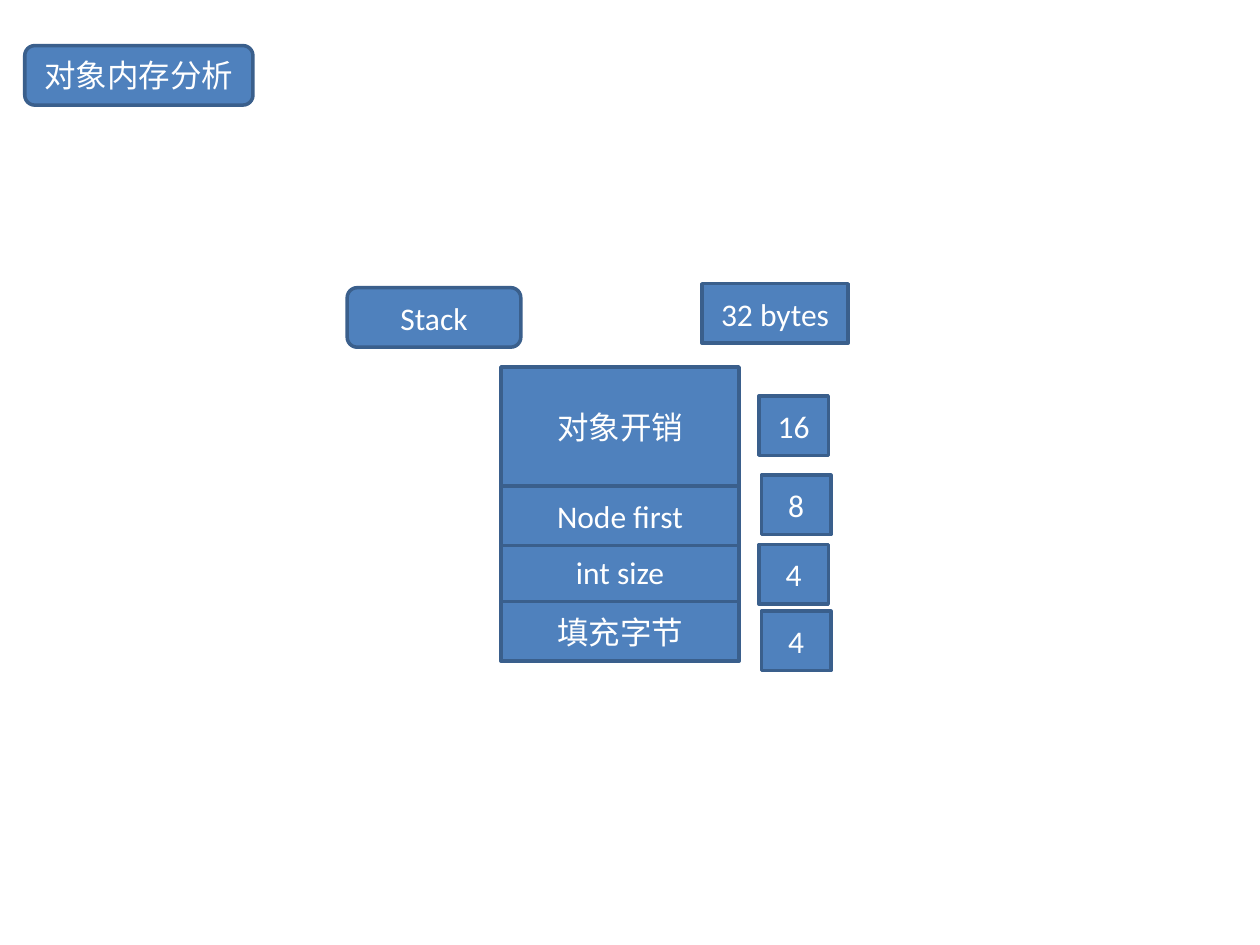
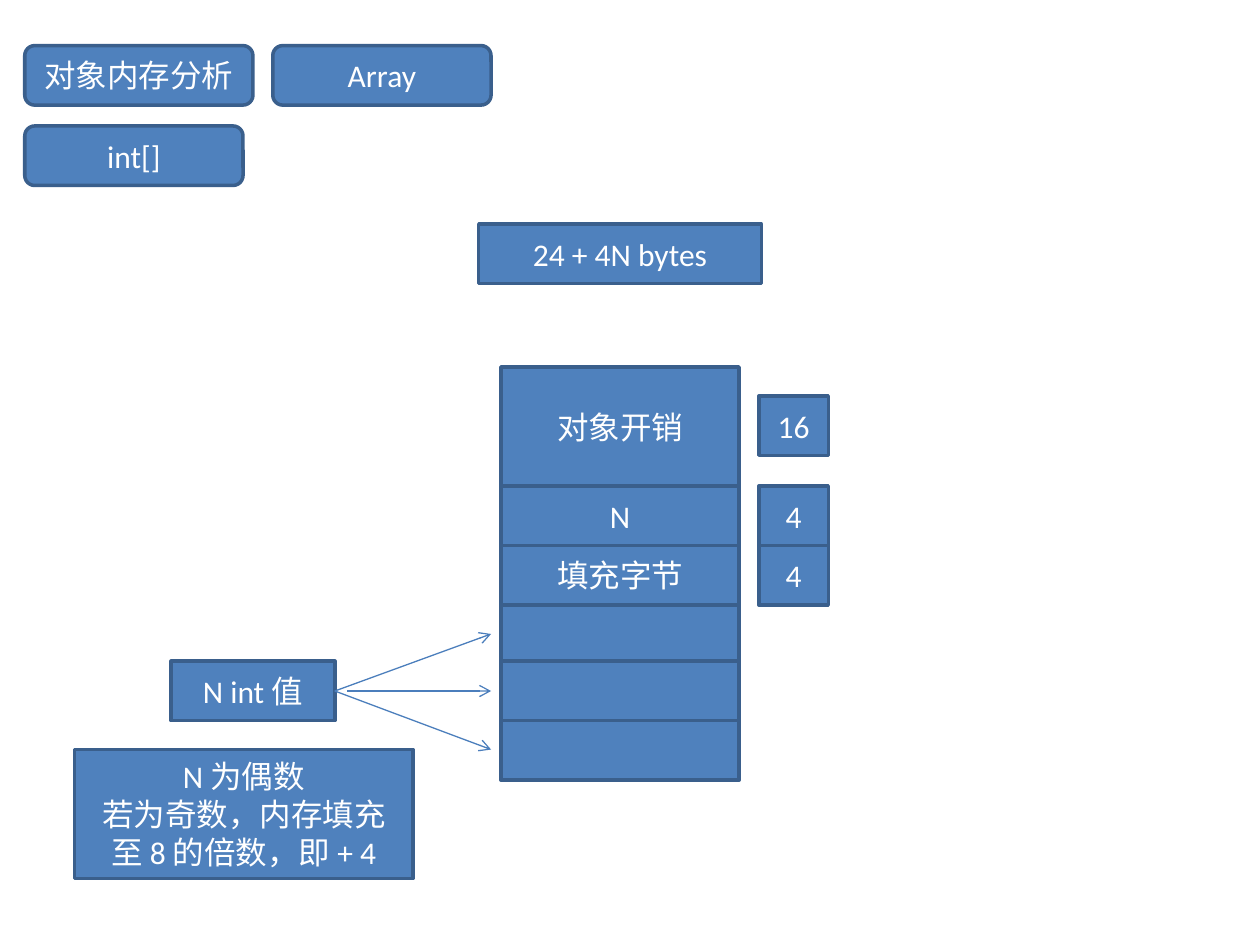
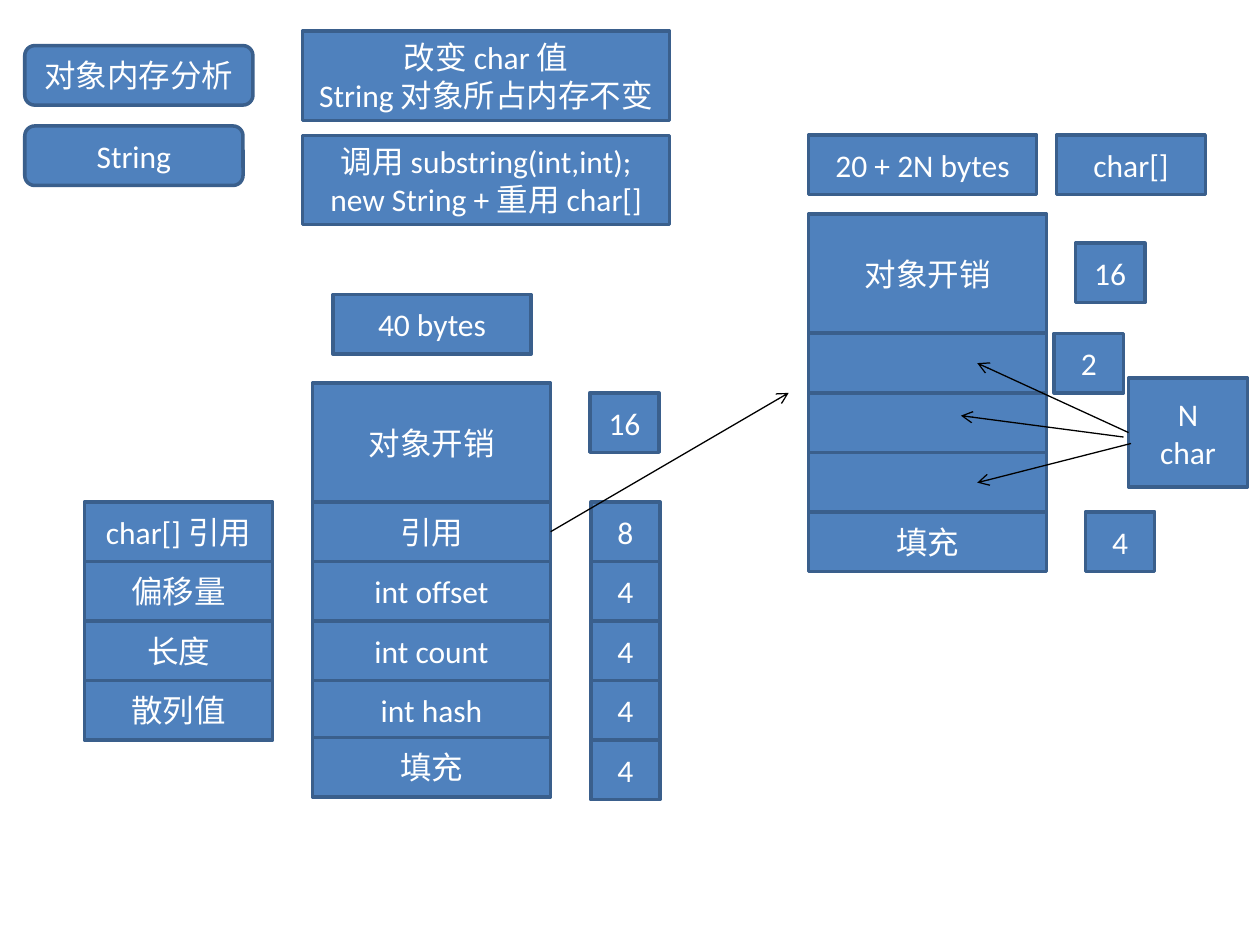
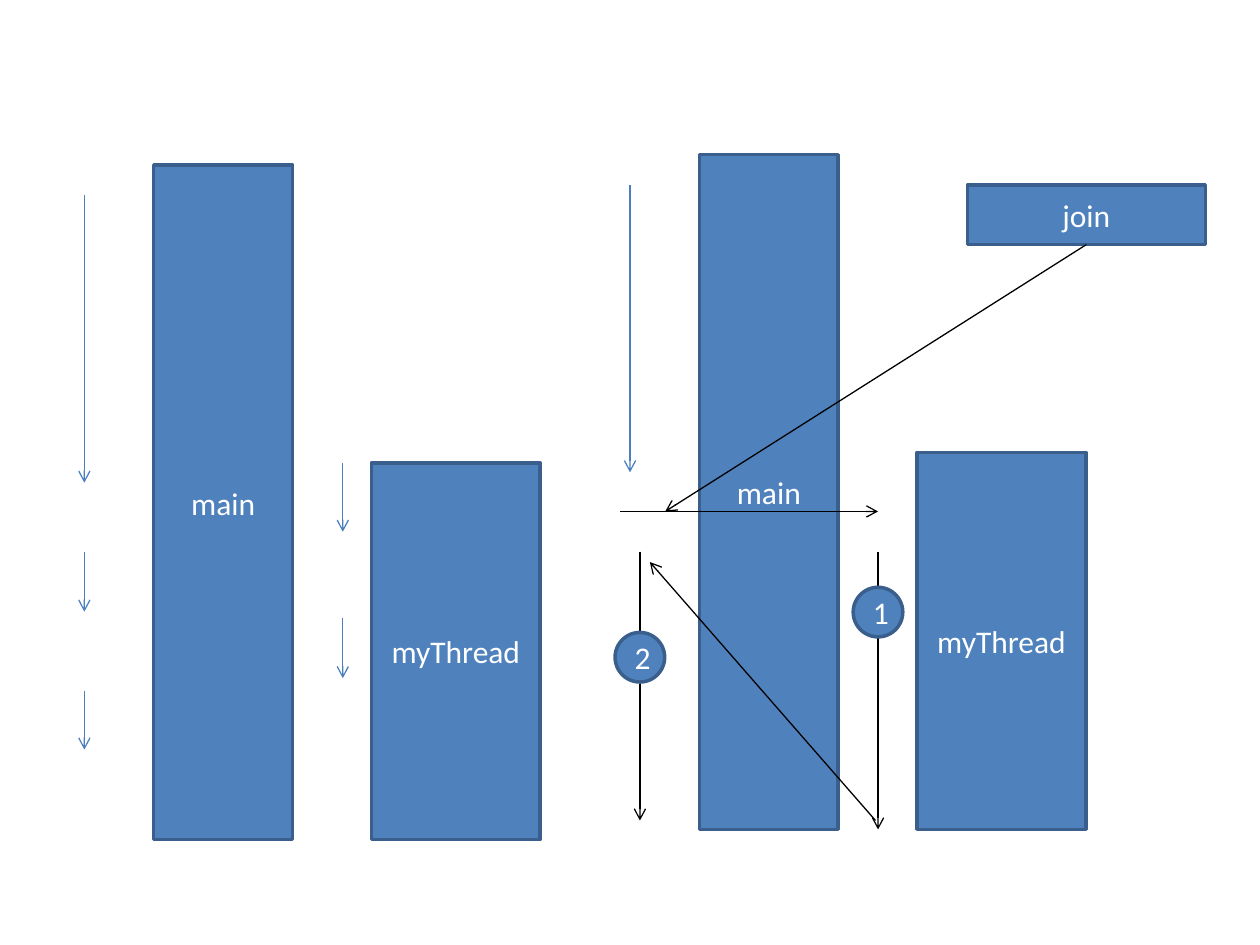
from lxml.etree import SubElement
from pptx import Presentation
from pptx.dml.color import RGBColor
from pptx.enum.shapes import MSO_CONNECTOR as Link, MSO_SHAPE as Shape
from pptx.enum.text import MSO_ANCHOR as Anchor, PP_ALIGN as Align
from pptx.oxml.ns import qn
from pptx.util import Cm, Pt

BLUE = RGBColor(0x4F, 0x81, 0xBD)
EDGE = RGBColor(0x3A, 0x5F, 0x8C)
ARROW_BLUE = RGBColor(0x4B, 0x7E, 0xBC)
BLACK = RGBColor(0, 0, 0)
WHITE = RGBColor(255, 255, 255)
FONT = "Calibri"

ROW = 1.2
HEADER = 2 * ROW
FIELD_WIDTH = 4.8
SIZE_WIDTH = 1.4
TAG_WIDTH = 4.4
TOP, LEFT, BOTTOM, RIGHT = range(4)


def add_box(page, text, left, top, width, height=ROW, kind=Shape.RECTANGLE):
    box = page.shapes.add_shape(kind, Cm(left), Cm(top), Cm(width), Cm(height))
    box.shadow.inherit = False
    box.fill.solid()
    box.fill.fore_color.rgb = BLUE
    box.line.color.rgb = EDGE
    box.line.width = Pt(2)
    frame = box.text_frame
    frame.text = text
    frame.vertical_anchor = Anchor.MIDDLE
    for para in frame.paragraphs:
        para.alignment = Align.CENTER
        for span in para.runs:
            span.font.name = FONT
            span.font.size = Pt(18)
            span.font.color.rgb = WHITE
    return box


def add_tag(page, text, left, top, width=TAG_WIDTH):
    return add_box(page, text, left, top, width, kind=Shape.ROUNDED_RECTANGLE)


def add_size(page, text, left, top):
    return add_box(page, text, left, top, SIZE_WIDTH)


def add_arrow(page, start, end, color=BLACK, source=None, side=RIGHT):
    arrow = page.shapes.add_connector(Link.STRAIGHT, *map(Cm, start + end))
    if source is not None:
        arrow.begin_connect(source, side)
    arrow.line.color.rgb = color
    arrow.line.width = Pt(0.75)
    SubElement(arrow.line._get_or_add_ln(), qn("a:tailEnd"), type="arrow")
    SubElement(arrow._element.spPr, qn("a:effectLst"))
    return arrow


def add_column(page, texts, left, top, width):
    return [add_box(page, text, left, top + index * ROW, width)
            for index, text in enumerate(texts)]


def add_memory(page, left, top, groups):
    add_box(page, "对象开销", left, top, FIELD_WIDTH, HEADER)
    return [add_column(page, texts, left, top + offset, FIELD_WIDTH)
            for offset, texts in groups]


def add_heading(page, kind=None):
    add_tag(page, "对象内存分析", 0.5, 0.92, 4.6)
    if kind:
        add_tag(page, kind, 0.5, 2.54)


def add_stack_object(page, left, top):
    add_memory(page, left, top, [(3.53, ["int size", "填充字节"]),
                                 (HEADER, ["Node first"])])
    add_tag(page, "Stack", left - 3.1, top - 1.6, 3.5)
    add_box(page, "32 bytes", left + 4.05, top - 1.68, 2.95)
    for text, across, down in [("16", 5.2, 0.58), ("8", 5.25, 2.18),
                               ("4", 5.2, 3.58), ("4", 5.25, 4.92)]:
        add_size(page, text, left + across, top + down)


def add_int_array(page, left, top):
    add_memory(page, left, top, [(HEADER, ["N", "填充字节", ""]),
                                 (5.93, ["", ""])])
    add_size(page, "16", left + 5.2, top + 0.58)
    add_column(page, ["4", "4"], left + 5.2, top + HEADER, SIZE_WIDTH)
    add_box(page, "24 + 4N bytes", left - 0.45, top - 2.88, 5.7)
    values = add_box(page, "N int 值", left - 6.65, top + 5.93, 3.3)
    middle = top + 6.53
    tip = left - 0.2
    for rise in (-1.15, 1.18):
        add_arrow(page, (left - 3.35, middle), (tip, middle + rise),
                  ARROW_BLUE, values)
    add_arrow(page, (left - 3.1, middle), (tip, middle), ARROW_BLUE)
    add_box(page, "N 为偶数\n若为奇数，内存填充至 8 的倍数，即 + 4",
            left - 8.6, top + 7.71, 6.83, 2.6)


def add_string_object(page, left, top):
    fields, _ = add_memory(page, left, top, [
        (HEADER, ["引用", "int offset", "int count", "int hash"]),
        (7.15, ["填充"])])
    add_column(page, ["char[] 引用", "偏移量", "长度", "散列值"],
               left - 4.6, top + HEADER, 3.8)
    add_column(page, ["8", "4", "4", "4", "4"],
               left + 5.61, top + HEADER, SIZE_WIDTH)
    add_size(page, "16", left + 5.59, top + 0.2)
    add_box(page, "40 bytes", left + 0.41, top - 1.78, 4)
    add_arrow(page, (left + FIELD_WIDTH, top + 3), (left + 9.6, top + 0.2),
              source=fields[0])


def add_char_array(page, left, top):
    add_memory(page, left, top, [(HEADER, ["", "", "", "填充"])])
    add_box(page, "20 + 2N bytes", left, top - 1.6, 4.6)
    add_box(page, "char[]", left + 5, top - 1.6, 3)
    for text, across, down in [("16", 5.38, 0.58), ("2", 4.95, HEADER),
                               ("4", 5.58, 6)]:
        add_size(page, text, left + across, top + down)
    chars = add_box(page, "N\nchar", left + 6.45, top + 3.3, 2.4, 2.2)
    add_arrow(page, (left + 6.45, top + 4.4), (left + 3.4, top + 3),
              source=chars, side=LEFT)
    add_arrow(page, (left + 6.35, top + 4.49), (left + 3.07, top + 4.06))
    add_arrow(page, (left + 6.5, top + 4.62), (left + 3.4, top + 5.41))


def add_threads(page, left, top):
    add_box(page, "main", left, top, 2.8, 13.6)
    add_box(page, "myThread", left + 4.39, top + 6, 3.4, 7.6)
    add_arrow(page, (left - 1.4, top + 0.61), (left - 1.4, top + 6.4), ARROW_BLUE)


def add_time_slices(page, left, top):
    for across, start, end in [(-1.4, 7.8, 9), (-1.4, 10.59, 11.78),
                               (3.81, 6, 7.39), (3.81, 9.12, 10.34)]:
        add_arrow(page, (left + across, top + start),
                  (left + across, top + end), ARROW_BLUE)


def add_join_flow(page, left, top):
    join = add_box(page, "join", left + 5.4, top + 0.61, FIELD_WIDTH)
    arrows = [((-1.6, 7.19), (3.6, 7.19)), ((3.6, 8), (3.6, 13.6)),
              ((-1.2, 8), (-1.2, 13.42)), ((3.55, 13.42), (-1, 8.21))]
    for (x1, y1), (x2, y2) in arrows:
        add_arrow(page, (left + x1, top + y1), (left + x2, top + y2))
    add_arrow(page, (left + 7.8, top + 1.81), (left - 0.69, top + 7.19),
              source=join, side=BOTTOM)
    for text, across, down in [("1", 3.1, 8.72), ("2", -1.7, 9.63)]:
        add_box(page, text, left + across, top + down, 1, 1, Shape.OVAL)


def stack_page(page):
    add_heading(page)
    add_stack_object(page, 10.1, 7.4)


def array_page(page):
    add_heading(page, "int[]")
    add_tag(page, "Array", 5.5, 0.92)
    add_int_array(page, 10.1, 7.4)


def string_page(page):
    add_heading(page, "String")
    add_string_object(page, 6.3, 7.72)
    add_char_array(page, 16.3, 4.32)
    notes = ["改变 char 值\nString 对象所占内存不变",
             "调用 substring(int,int);\nnew String + 重用 char[]"]
    for index, note in enumerate(notes):
        add_box(page, note, 6.1, 0.63 + index * 2.1, 7.4, 1.8)


def thread_page(page):
    add_threads(page, 3.1, 3.33)
    add_time_slices(page, 3.1, 3.33)
    add_threads(page, 14.1, 3.12)
    add_join_flow(page, 14.1, 3.12)


def main():
    deck = Presentation()
    deck.slide_width = Cm(25.4)
    deck.slide_height = Cm(19.05)
    blank = deck.slide_layouts[6]
    for build in (stack_page, array_page, string_page, thread_page):
        build(deck.slides.add_slide(blank))
    deck.save("out.pptx")


if __name__ == "__main__":
    main()
